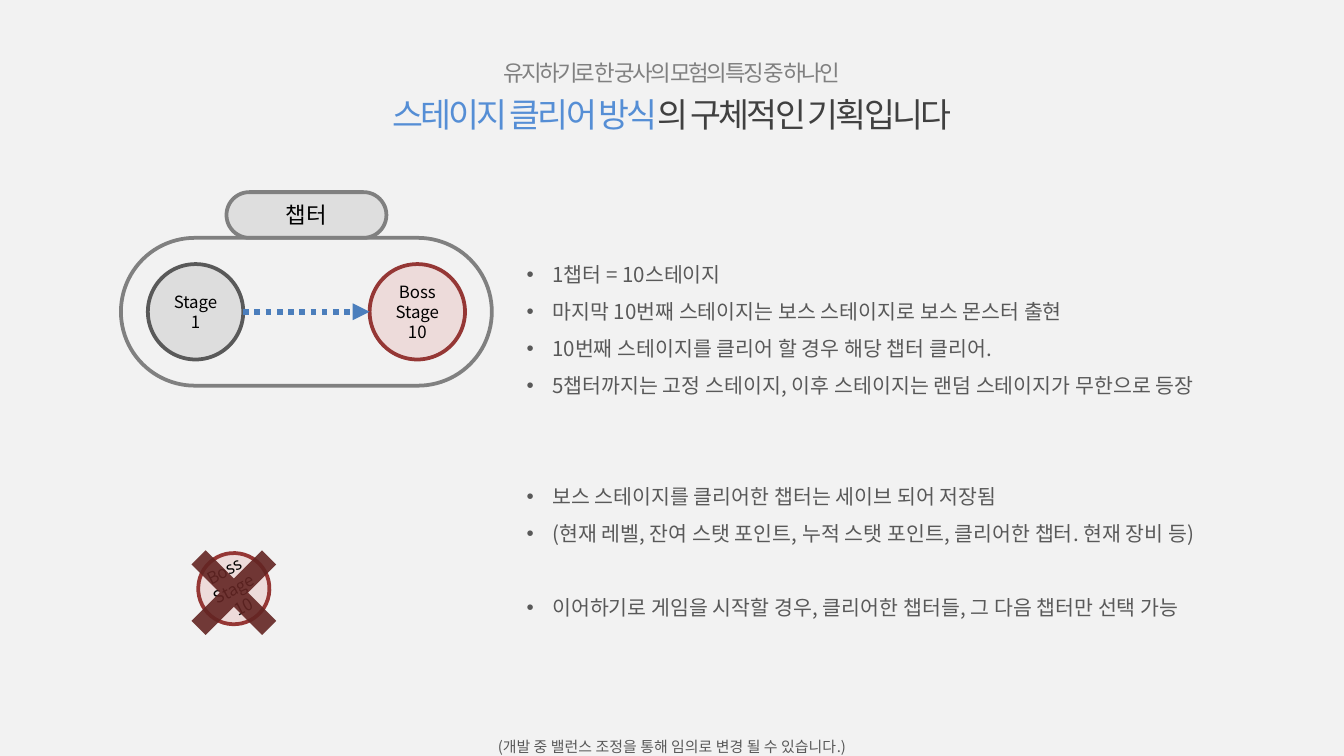
from copy import deepcopy
from pptx import Presentation
from pptx.dml.color import RGBColor
from pptx.enum.dml import MSO_LINE
from pptx.enum.shapes import MSO_CONNECTOR, MSO_SHAPE
from pptx.enum.text import MSO_ANCHOR, MSO_AUTO_SIZE, PP_ALIGN
from pptx.oxml.ns import qn
from pptx.util import Inches, Pt
from lxml.etree import SubElement

# Content
TITLE = [
    ("유지하기로 한 궁사의 모험의 특징 중 하나인", 12, "gray"),
    ("스테이지 클리어 방식", 18, "blue"),
    ("의 구체적인 기획입니다", 18, "dark"),
]
CHAPTER = "챕터"
FIRST_STAGE = "Stage\n1"
BOSS_STAGE = "Boss\vStage\n10"
RULES = [  # text, empty lines above
    ("1챕터 = 10스테이지", 0),
    ("마지막 10번째 스테이지는 보스 스테이지로 보스 몬스터 출현", 0),
    ("10번째 스테이지를 클리어 할 경우 해당 챕터 클리어.", 0),
    ("5챕터까지는 고정 스테이지, 이후 스테이지는 랜덤 스테이지가 무한으로 등장", 0),
    ("보스 스테이지를 클리어한 챕터는 세이브 되어 저장됨", 2),
    ("(현재 레벨, 잔여 스탯 포인트, 누적 스탯 포인트, 클리어한 챕터. 현재 장비 등)", 0),
    ("이어하기로 게임을 시작할 경우, 클리어한 챕터들, 그 다음 챕터만 선택 가능", 1),
]
FOOTNOTE = "(개발 중 밸런스 조정을 통해 임의로 변경 될 수 있습니다.)"

FONT = "Noto Sans CJK KR"
COLORS = {
    "page": "F2F2F2", "gray": "808080", "blue": "558ED5", "dark": "404040",
    "text": "595959", "black": "000000", "stage": "BFBFBF", "boss": "E6B9B8",
    "boss_line": "953735", "tab": "D9D9D9", "arrow": "4B7EBC", "cross": "632523",
}

# Layout in inches
WIDTH, HEIGHT = 10, 5.625
FRAME_LEFT, FRAME_TOP, FRAME_W, FRAME_H = 0.9, 1.77, 2.76, 1.1
MIDDLE = FRAME_TOP + FRAME_H / 2
STAGE_SIZE, STAGE_INSET = 0.71, 0.2
TAB_W, TAB_H = 1.19, 0.34
LOST_SIZE, CROSS_SIZE = 0.53, 1.01
LOST_X, LOST_Y = 1.74, 4.38
INDENT, RULE_PITCH = 0.19, 19.8


def color(name):
    return RGBColor.from_string(COLORS[name])


def style_run(run, size, name):
    run.font.size, run.font.name = Pt(size), FONT
    run.font.color.rgb = color(name)
    SubElement(run.font._element, qn("a:ea"), typeface=FONT)


def style_paragraph(paragraph, size, name, align=PP_ALIGN.CENTER, spacing=None):
    paragraph.alignment = align
    if spacing:
        paragraph.line_spacing = spacing
    for run in paragraph.runs:
        style_run(run, size, name)
    for line_break in paragraph._p.findall(qn("a:br")):
        line_break.append(deepcopy(paragraph.runs[0].font._element))


def add_text_box(left, top, width, height):
    box = slide.shapes.add_textbox(*map(Inches, (left, top, width, height)))
    box.text_frame.word_wrap = True
    return box.text_frame


def add_figure(kind, center, size, fill, alpha, line=None, text="", text_size=9):
    (x, y), (w, h) = center, size
    figure = slide.shapes.add_shape(kind, *map(Inches, (x - w / 2, y - h / 2, w, h)))
    figure.shadow.inherit = False
    figure.fill.solid()
    figure.fill.fore_color.rgb = color(fill)
    solid = figure._element.spPr.find(qn("a:solidFill"))
    SubElement(solid[0], qn("a:alpha"), val=str(alpha * 1000))
    if line:
        figure.line.color.rgb = color(line)
        figure.line.width = Pt(2)
    else:
        figure.line.fill.background()
    if text:
        frame = figure.text_frame
        frame.text = text
        frame.vertical_anchor = MSO_ANCHOR.MIDDLE
        frame.margin_left = frame.margin_right = frame.margin_top = frame.margin_bottom = 0
        for paragraph in frame.paragraphs:
            style_paragraph(paragraph, text_size, "black")
    return figure


def add_stage(x, y, size, fill, line, text):
    return add_figure(MSO_SHAPE.OVAL, (x, y), (size, size), fill, 40, line, text)


deck = Presentation()
deck.slide_width, deck.slide_height = Inches(WIDTH), Inches(HEIGHT)
slide = deck.slides.add_slide(deck.slide_layouts[6])
slide.background.fill.solid()
slide.background.fill.fore_color.rgb = color("page")

# Title
title = add_text_box(0.5, 0.23, WIDTH - 1, 0.94)
title.vertical_anchor = MSO_ANCHOR.MIDDLE
heading = title.paragraphs[0]
heading.alignment, heading.line_spacing = PP_ALIGN.CENTER, 1.2
for index, (words, size, name) in enumerate(TITLE):
    run = heading.add_run()
    run.text = words
    style_run(run, size, name)
    run.font._element.set("spc", "-150")
    if index == 0:
        heading.add_line_break()
        heading._p.find(qn("a:br")).append(deepcopy(run.font._element))

# Chapter diagram
frame_center = FRAME_LEFT + FRAME_W / 2
stage_x = FRAME_LEFT + STAGE_INSET + STAGE_SIZE / 2
boss_x = FRAME_LEFT + FRAME_W - STAGE_INSET - STAGE_SIZE / 2
frame = add_figure(MSO_SHAPE.ROUNDED_RECTANGLE, (frame_center, MIDDLE),
                   (FRAME_W, FRAME_H), "page", 40, "gray")
add_stage(stage_x, MIDDLE, STAGE_SIZE, "stage", "text", FIRST_STAGE)
add_stage(boss_x, MIDDLE, STAGE_SIZE, "boss", "boss_line", BOSS_STAGE)
tab = add_figure(MSO_SHAPE.ROUNDED_RECTANGLE, (frame_center, FRAME_TOP - TAB_H / 2),
                 (TAB_W, TAB_H), "tab", 80, "gray", CHAPTER, 12)
for pill in (frame, tab):
    pill.adjustments[0] = 0.5

arrow = slide.shapes.add_connector(
    MSO_CONNECTOR.STRAIGHT, Inches(stage_x + STAGE_SIZE / 2), Inches(MIDDLE),
    Inches(boss_x - STAGE_SIZE / 2), Inches(MIDDLE))
arrow.line.color.rgb = color("arrow")
arrow.line.width = Pt(3)
arrow.line.dash_style = MSO_LINE.ROUND_DOT
SubElement(arrow.line._get_or_add_ln(), qn("a:tailEnd"), type="triangle")
SubElement(arrow._element.spPr, qn("a:effectLst"))

# Rules
rules = add_text_box(3.82, 1.81, 5.91, 3.12)
rules.text = "\n".join(words for words, _ in RULES)
for paragraph, (_, gap) in zip(rules.paragraphs, RULES):
    properties = paragraph._p.get_or_add_pPr()
    properties.set("marL", str(Inches(INDENT)))
    properties.set("indent", str(-Inches(INDENT)))
    SubElement(properties, qn("a:buFont"), typeface="Arial")
    SubElement(properties, qn("a:buChar"), char="•")
    style_paragraph(paragraph, 11, "text", PP_ALIGN.LEFT, 1.5)
    if gap:
        paragraph.space_before = Pt(gap * RULE_PITCH)

# Crossed-out boss stage
lost_boss = add_stage(LOST_X, LOST_Y, LOST_SIZE, "boss", "boss_line", BOSS_STAGE)
lost_boss.rotation = 332.3
cross = add_figure(MSO_SHAPE.MATH_MULTIPLY, (LOST_X, LOST_Y + 0.03),
                   (CROSS_SIZE, CROSS_SIZE), "cross", 90)
cross.adjustments[0] = 0.147

# Footnote
footnote = add_text_box(1.93, 5.37, 6.14, 0.28)
footnote.text = FOOTNOTE
style_paragraph(footnote.paragraphs[0], 8, "text", spacing=1.5)
for growing in (rules, footnote):
    growing.auto_size = MSO_AUTO_SIZE.SHAPE_TO_FIT_TEXT

deck.save("out.pptx")
